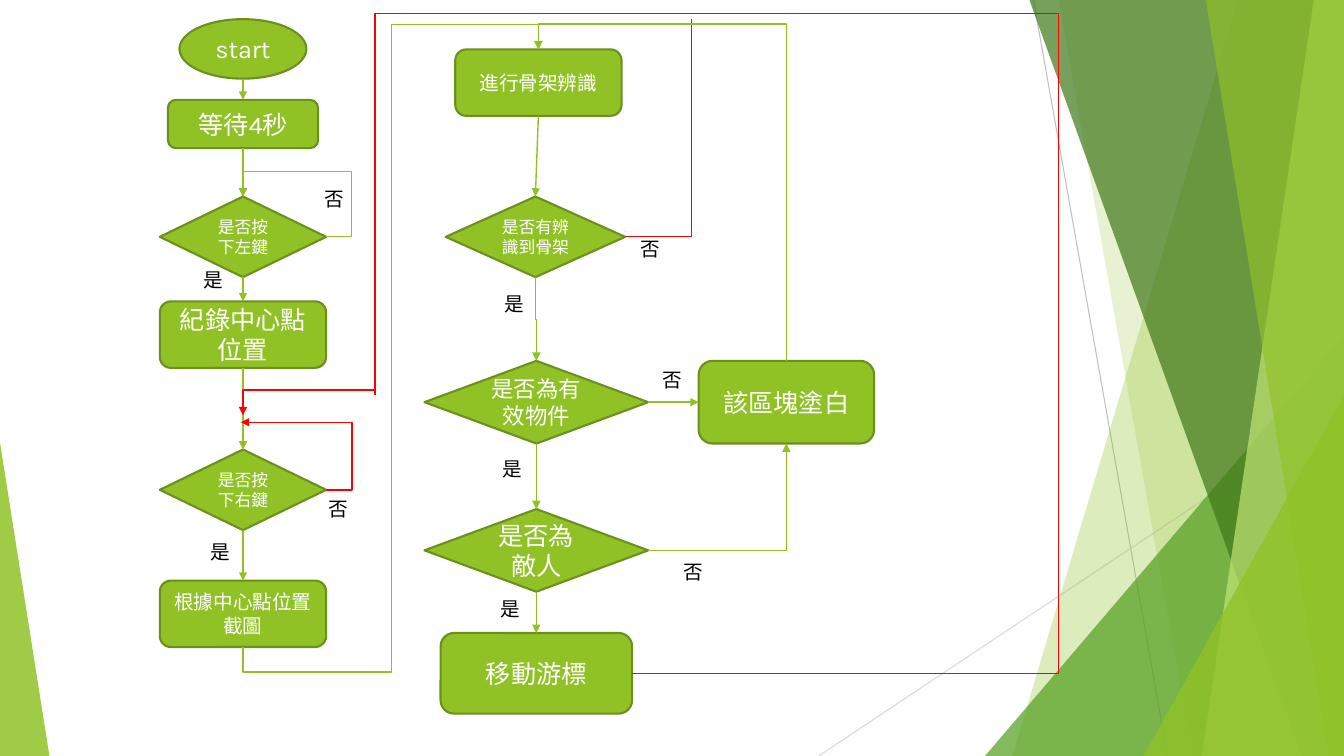
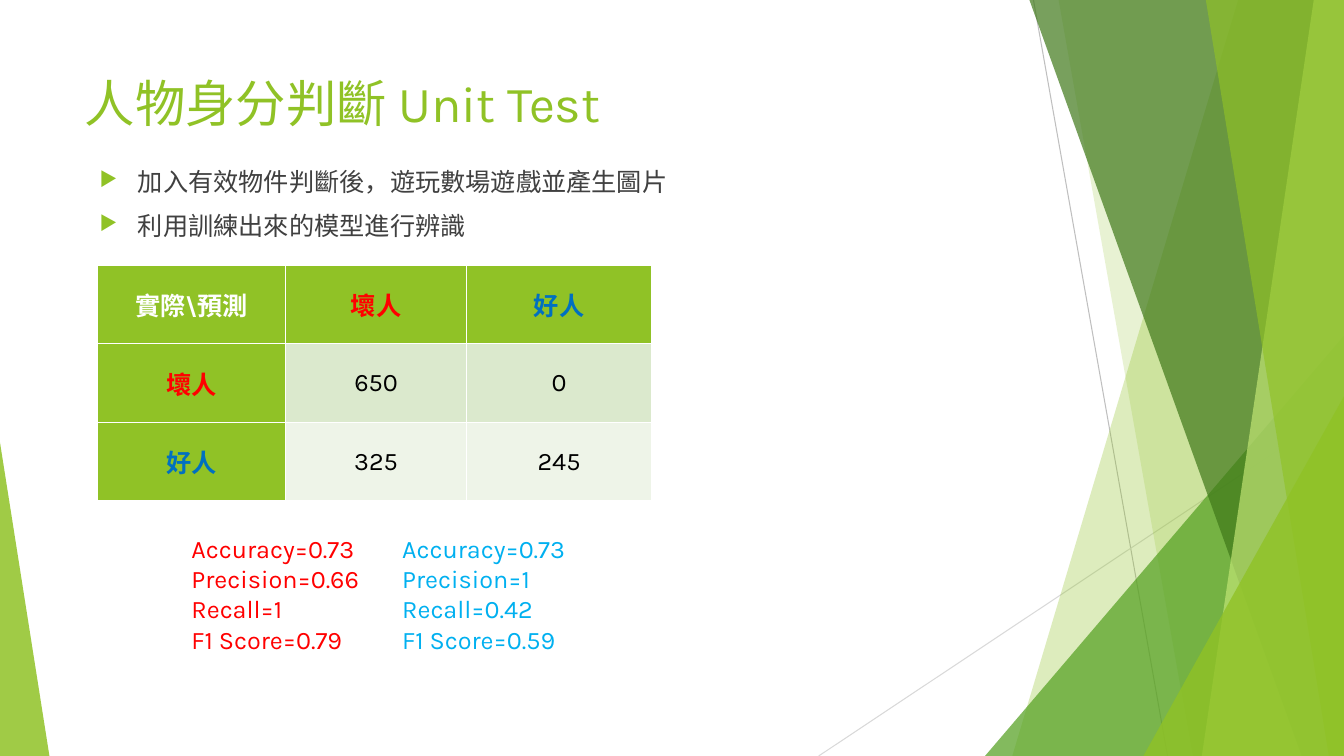
from lxml import etree
from pptx import Presentation
from pptx.dml.color import RGBColor
from pptx.enum import shapes as kinds, text as txt
from pptx.oxml.ns import qn
from pptx.util import Inches, Pt

GREEN = RGBColor(0x90, 0xC2, 0x26)
EDGE = RGBColor(0x6B, 0x90, 0x1C)
MID_GREEN = RGBColor(0x54, 0xA0, 0x21)
DARK_GREEN = RGBColor(0x3F, 0x78, 0x19)
LIME = RGBColor(0xC0, 0xE4, 0x74)
ROW_TINTS = [RGBColor(0xDB, 0xE9, 0xCD), RGBColor(0xEE, 0xF4, 0xE8)]
GREY, PALE_GREY = RGBColor(0xBF, 0xBF, 0xBF), RGBColor(0xD9, 0xD9, 0xD9)
INK = RGBColor(0x40, 0x40, 0x40)
BLACK, WHITE = RGBColor(0, 0, 0), RGBColor(255, 255, 255)
RED, BLUE, SKY = RGBColor(255, 0, 0), RGBColor(0, 0x70, 0xC0), RGBColor(0, 0xB0, 0xF0)
FONT = "Karla"
WIDTH, HEIGHT = 13.33, 7.5
TOP, LEFT, BOTTOM, RIGHT = range(4)
BOX = kinds.MSO_SHAPE.ROUNDED_RECTANGLE
CHOICE = kinds.MSO_SHAPE.FLOWCHART_DECISION
OVAL = kinds.MSO_SHAPE.OVAL


def inches(*lengths):
    """Convert several numbers to lengths."""
    return [Inches(length) for length in lengths]


def side_point(anchor):
    """Return x and y in inches of a point or of a (node, side) pair."""
    if isinstance(anchor[0], (int, float)):
        return anchor
    node, side = anchor
    x, y, w, h = (v.inches for v in (node.left, node.top, node.width, node.height))
    return {TOP: (x + w / 2, y), LEFT: (x, y + h / 2),
            BOTTOM: (x + w / 2, y + h), RIGHT: (x + w, y + h / 2)}[side]


class Deck:
    """Holds the presentation, its style and the current slide."""

    def __init__(self):
        """Start an empty wide presentation."""
        self.prs = Presentation()
        self.prs.slide_width, self.prs.slide_height = inches(WIDTH, HEIGHT)

    def new_slide(self, title=None):
        """Add a decorated slide, with a title if one is given."""
        layout = self.prs.slide_layouts[5 if title else 6]
        self.slide = self.prs.slides.add_slide(layout)
        self.shapes = self.slide.shapes
        self.decorate()
        if title:
            heading = self.shapes.title
            heading.left, heading.top, heading.width, heading.height = inches(0.74, 0.67, 7.41, 0.84)
            heading.text_frame.vertical_anchor = txt.MSO_ANCHOR.TOP
            self.set_text(heading.text_frame, [title], 36, GREEN)

    def decorate(self):
        """Draw the green facets at both edges."""
        self.line((10.25, 0), (11.58, HEIGHT), GREY, 0.75)
        self.line((WIDTH, 4.03), (8.12, HEIGHT), PALE_GREY, 0.75)
        self.band(12.28, 10.04, GREEN, 30)
        self.band(10.5, 11.83, GREEN, 20)
        self.corner(9.77, 3.33, 3.56, MID_GREEN, 72)
        self.band(10.21, 12.91, DARK_GREEN, 70)
        self.band(13.03, 11.92, LIME, 70)
        self.band(11.96, 13.18, GREEN, 65)
        self.corner(11.34, 3.93, 1.99, GREEN, 80)
        self.corner(0, 4.39, 0.49, GREEN, 85, peak=0)

    def band(self, top_x, bottom_x, color, opacity):
        """Draw a facet from a slanted left edge to the right slide edge."""
        outline = self.shapes.build_freeform(*inches(top_x, 0))
        outline.add_line_segments(
            [inches(*p) for p in ((WIDTH, 0), (WIDTH, HEIGHT), (bottom_x, HEIGHT))])
        self.tint(outline.convert_to_shape(), color, opacity)

    def corner(self, x, y, width, color, opacity, peak=1):
        """Draw a right triangle that stands on the bottom edge."""
        facet = self.shapes.add_shape(
            kinds.MSO_SHAPE.ISOSCELES_TRIANGLE, *inches(x, y, width, HEIGHT - y))
        facet.adjustments[0] = peak
        self.tint(facet, color, opacity)

    def tint(self, facet, color, opacity):
        """Fill a facet with a see-through colour and no outline."""
        facet.shadow.inherit = False
        facet.line.fill.background()
        facet.fill.solid()
        facet.fill.fore_color.rgb = color
        tone = facet.element.spPr.find(qn("a:solidFill"))[0]
        etree.SubElement(tone, qn("a:alpha"), val=str(opacity * 1000))

    def set_text(self, frame, lines, size, color, align=txt.PP_ALIGN.LEFT, bold=False):
        """Fill a text frame with one paragraph for each line."""
        frame.text = "\n".join(lines)
        for paragraph in frame.paragraphs:
            paragraph.alignment = align
            font = paragraph.font
            font.name, font.size, font.bold = FONT, Pt(size), bold
            font.color.rgb = color

    def text(self, x, y, w, h, lines, size, color, wrap=True):
        """Add a text box and return its frame."""
        frame = self.shapes.add_textbox(*inches(x, y, w, h)).text_frame
        frame.word_wrap = wrap
        self.set_text(frame, lines, size, color)
        return frame

    def label(self, x, y, answer):
        """Add the answer beside a branch."""
        self.text(x, y, 0.38, 0.34, [answer], 14, BLACK, wrap=False)

    def bullets(self, x, y, w, h, lines):
        """Add a list with green arrow bullets."""
        frame = self.text(x, y, w, h, lines, 18, INK)
        for paragraph in frame.paragraphs:
            paragraph.space_before = Pt(10)
            props = paragraph._p.get_or_add_pPr()
            props.set("marL", str(Inches(0.38)))
            props.set("indent", str(-Inches(0.38)))
            bullet = [etree.Element(qn("a:buClr")),
                      etree.Element(qn("a:buSzPct"), val="80000"),
                      etree.Element(qn("a:buChar"), char="▶")]
            etree.SubElement(bullet[0], qn("a:srgbClr"), val=str(GREEN))
            spacing = props.find(qn("a:spcBef"))
            for part in reversed(bullet):
                spacing.addnext(part)

    def node(self, kind, center, y, w, h, step, size):
        """Add a flowchart step centred on a column."""
        step_shape = self.shapes.add_shape(kind, *inches(center - w / 2, y, w, h))
        step_shape.shadow.inherit = False
        step_shape.fill.solid()
        step_shape.fill.fore_color.rgb = GREEN
        step_shape.line.color.rgb = EDGE
        step_shape.line.width = Pt(1.5)
        frame = step_shape.text_frame
        frame.word_wrap = True
        frame.vertical_anchor = txt.MSO_ANCHOR.MIDDLE
        self.set_text(frame, [step], size, WHITE, txt.PP_ALIGN.CENTER)
        return step_shape

    def line(self, start, end, color=GREEN, weight=1, arrow=False,
             kind=kinds.MSO_CONNECTOR.STRAIGHT):
        """Join two points or node sides."""
        link = self.shapes.add_connector(kind, *inches(*side_point(start), *side_point(end)))
        link.line.color.rgb = color
        link.line.width = Pt(weight)
        for anchor, glue in ((start, link.begin_connect), (end, link.end_connect)):
            if not isinstance(anchor[0], (int, float)):
                glue(*anchor)
        props = link.element.spPr
        if arrow:
            etree.SubElement(props.find(qn("a:ln")), qn("a:tailEnd"), type="triangle")
        etree.SubElement(props, qn("a:effectLst"))
        return link

    def arrow(self, start, end):
        """Draw a straight green arrow."""
        self.line(start, end, arrow=True)

    def elbow(self, start, bends, end, color=GREEN, arrow=True):
        """Draw a right-angled route; bends alternate between x and y positions."""
        link = self.line(start, end, color, arrow=arrow, kind=kinds.MSO_CONNECTOR.ELBOW)
        begin, finish = side_point(start), side_point(end)
        span = [b - a for a, b in zip(begin, finish)]
        first = 1 if start[1] in (TOP, BOTTOM) else 0
        flips = [span[0] < 0, span[1] < 0]
        xfrm = link.element.spPr.find(qn("a:xfrm"))
        if first:
            # A route that leaves vertically is a horizontal one turned by 90 degrees.
            w, h = abs(span[1]), abs(span[0])
            flips = [span[1] < 0, span[0] > 0]
            middle = [(a + b) / 2 for a, b in zip(begin, finish)]
            link.left, link.top, link.width, link.height = inches(
                middle[0] - w / 2, middle[1] - h / 2, w, h)
            xfrm.set("rot", "5400000")
        for name, flipped in zip(("flipH", "flipV"), flips):
            xfrm.set(name, str(int(flipped)))
        outline = link.element.spPr.find(qn("a:prstGeom"))
        outline.set("prst", f"bentConnector{len(bends) + 2}")
        guides = outline.find(qn("a:avLst"))
        if guides is None:
            guides = etree.SubElement(outline, qn("a:avLst"))
        for i, bend in enumerate(bends):
            axis = (first + i) % 2
            share = round((bend - begin[axis]) / span[axis] * 100000)
            etree.SubElement(guides, qn("a:gd"), name=f"adj{i + 1}", fmla=f"val {share}")

    def table(self, x, y, widths, row_height, rows, name_colors):
        """Add a confusion matrix with green headings."""
        grid = self.shapes.add_table(
            len(rows), len(widths), *inches(x, y, sum(widths), row_height * len(rows))).table
        grid.first_col = True
        for column, width in zip(grid.columns, widths):
            column.width = Inches(width)
        for r, row in enumerate(rows):
            grid.rows[r].height = Inches(row_height)
            for c, value in enumerate(row):
                cell = grid.cell(r, c)
                heading = r == 0 or c == 0
                cell.vertical_anchor = txt.MSO_ANCHOR.MIDDLE
                cell.fill.solid()
                cell.fill.fore_color.rgb = GREEN if heading else ROW_TINTS[r - 1]
                color = name_colors.get(value, WHITE) if heading else BLACK
                self.set_text(cell.text_frame, [value], 18, color, txt.PP_ALIGN.CENTER, heading)


def flow_slide(deck):
    """Build the flowchart of the program."""
    deck.new_slide()
    main, checks, side = 2.41, 5.32, 7.8
    deck.node(OVAL, main, 0.19, 1.26, 0.59, "start", 18)
    wait = deck.node(BOX, main, 0.99, 1.49, 0.48, "等待4秒", 18)
    left_key = deck.node(CHOICE, main, 1.95, 1.65, 0.8, "是否按下左鍵", 12)
    record = deck.node(BOX, main, 2.99, 1.65, 0.66, "紀錄中心點位置", 18)
    right_key = deck.node(CHOICE, main, 4.46, 1.65, 0.8, "是否按下右鍵", 12)
    capture = deck.node(BOX, main, 5.76, 1.65, 0.66, "根據中心點位置截圖", 14)
    detect = deck.node(BOX, 5.34, 0.49, 1.65, 0.66, "進行骨架辨識", 14)
    found = deck.node(CHOICE, 5.31, 1.95, 1.78, 0.8, "是否有辨識到骨架", 12)
    valid = deck.node(CHOICE, checks, 3.58, 2.22, 0.82, "是否為有效物件", 16)
    enemy = deck.node(CHOICE, checks, 5.05, 2.22, 0.82, "是否為敵人", 18)
    move = deck.node(BOX, checks, 6.28, 1.9, 0.8, "移動游標", 18)
    whiten = deck.node(BOX, side, 3.58, 1.74, 0.82, "該區塊塗白", 18)

    deck.arrow((main, 0.78), (wait, TOP))
    for upper, lower in ((wait, left_key), (left_key, record), (record, right_key),
                         (right_key, capture), (detect, found), (valid, enemy), (enemy, move)):
        deck.arrow((upper, BOTTOM), (lower, TOP))
    deck.arrow((valid, RIGHT), (whiten, LEFT))
    deck.elbow((left_key, RIGHT), [3.49, 1.7], (left_key, TOP))
    deck.elbow((right_key, RIGHT), [3.49], (2.39, 4.19), RED)
    deck.elbow((found, BOTTOM), [3.17], (valid, TOP))
    deck.elbow((3.72, 3.87), [], (main, 4.12), RED)
    deck.elbow((move, RIGHT), [10.5, 0.13], (3.72, 3.75), RED, arrow=False)
    deck.elbow((capture, BOTTOM), [6.67, 3.88, 0.24], (detect, TOP))
    deck.elbow((found, RIGHT), [], (6.86, 0.19), RED, arrow=False)
    deck.elbow((enemy, RIGHT), [], (whiten, BOTTOM))
    deck.elbow((whiten, TOP), [0.24], (detect, TOP))
    deck.line((3.72, 3.65), (3.72, 3.92), RED)

    for x, y in ((1.92, 2.61), (1.99, 5.31), (4.91, 2.85), (4.89, 4.48), (4.87, 5.87)):
        deck.label(x, y, "是")
    for x, y in ((3.12, 1.81), (3.16, 4.88), (6.25, 2.3), (6.47, 3.6), (6.68, 5.51)):
        deck.label(x, y, "否")


def test_slide(deck):
    """Build the unit test results."""
    deck.new_slide("人物身分判斷 Unit Test")
    deck.bullets(0.89, 1.6, 9.4, 0.94,
                 ["加入有效物件判斷後，遊玩數場遊戲並產生圖片", "利用訓練出來的模型進行辨識"])
    deck.table(0.97, 2.63, [1.86, 1.8, 1.83], 0.78,
               [["實際\\預測", "壞人", "好人"], ["壞人", "650", "0"], ["好人", "325", "245"]],
               {"壞人": RED, "好人": BLUE})
    measures = ["Accuracy", "Precision", "Recall", "F1 Score"]
    for x, color, scores in ((1.8, RED, ["0.73", "0.66", "1", "0.79"]),
                             (3.89, SKY, ["0.73", "1", "0.42", "0.59"])):
        lines = [f"{measure}={score}" for measure, score in zip(measures, scores)]
        deck.text(x, 5.24, 2.09, 1.31, lines, 18, color)


deck = Deck()
flow_slide(deck)
test_slide(deck)
deck.prs.save("out.pptx")
